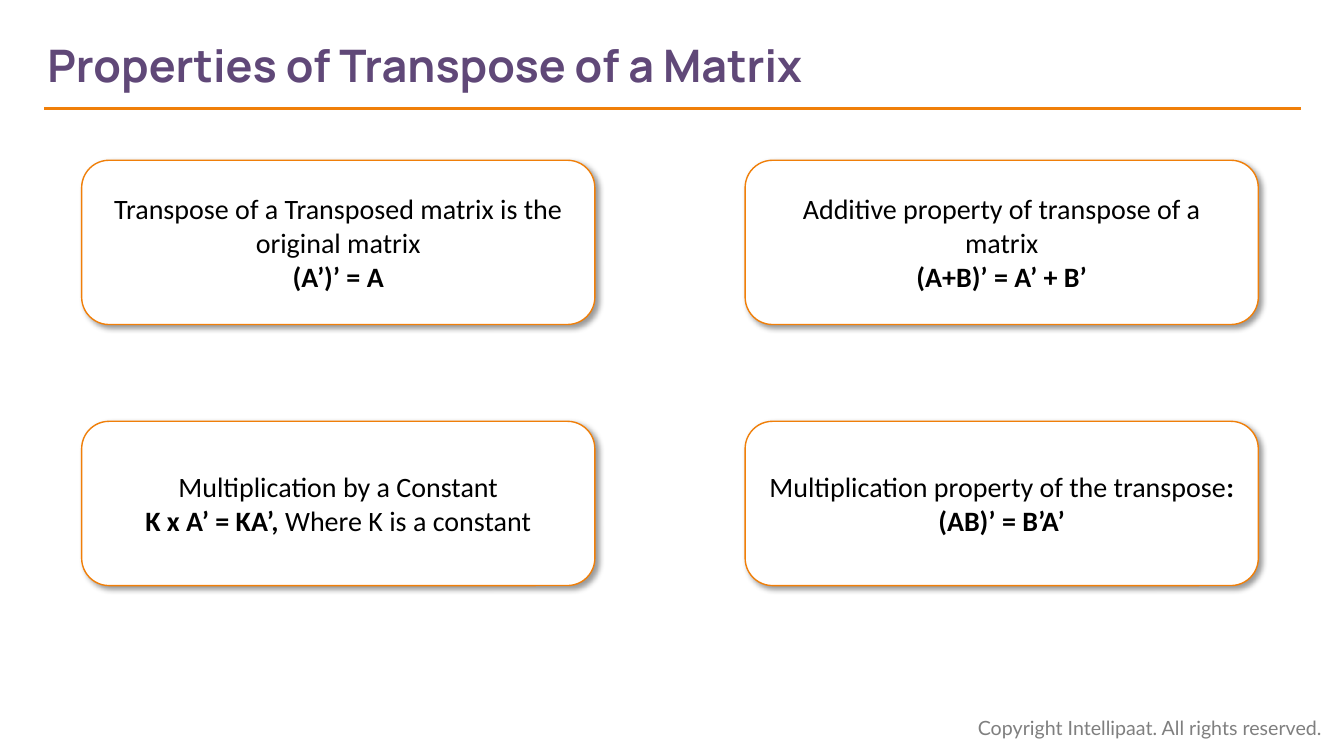
from dataclasses import dataclass

from lxml import etree
from pptx import Presentation
from pptx import util as u
from pptx.dml import color as clr
from pptx.enum import shapes, text
from pptx.oxml import ns

HUES = {
    "title": "604878",
    "rule": "F07F09",
    "card": "FFFFFF",
    "ink": "000000",
    "note": "7F7F7F",
}


@dataclass(frozen=True)
class Span:
    words: str
    bold: bool = False


@dataclass(frozen=True)
class Card:
    col: int
    row: int
    lines: tuple[tuple[Span, ...], ...]


CARDS = (
    Card(0, 0, (
        (Span("Transpose of a Transposed matrix is the original matrix"),),
        (Span("(A’)’ = A", True),),
    )),
    Card(1, 0, (
        (Span("Additive property of transpose of a matrix"),),
        (Span("(A+B)’ = A’ + B’", True),),
    )),
    Card(0, 1, (
        (Span("Multiplication by a Constant"),),
        (Span("K x A’ = KA’, ", True), Span("Where K is a constant")),
    )),
    Card(1, 1, (
        (Span("Multiplication property of the transpose"), Span(":", True)),
        (Span("(AB)’ = B’A’", True),),
    )),
)


def hue(name: str) -> clr.RGBColor:
    return clr.RGBColor.from_string(HUES[name])


def style(para, face: str, size: int, tint: str) -> None:
    para.font.name = face
    para.font.size = u.Pt(size)
    para.font.color.rgb = hue(tint)


def effects(item):
    return etree.SubElement(item._element.spPr, ns.qn("a:effectLst"))


def add_title(slide) -> None:
    title = slide.shapes.title
    title.left, title.top = u.Inches(0.47), u.Inches(0.22)
    title.width, title.height = u.Inches(9.47), u.Inches(0.84)
    frame = title.text_frame
    frame.text = "Properties of Transpose of a Matrix"
    frame.margin_left = 0
    frame.auto_size = text.MSO_AUTO_SIZE.NONE
    frame.vertical_anchor = text.MSO_ANCHOR.MIDDLE
    para = frame.paragraphs[0]
    para.alignment = text.PP_ALIGN.LEFT
    style(para, "Manrope", 32, "title")
    para.font.bold = True


def add_rule(slide) -> None:
    rule = slide.shapes.add_connector(
        shapes.MSO_CONNECTOR.STRAIGHT,
        u.Inches(0.44), u.Inches(1.08), u.Inches(12.9), u.Inches(1.08),
    )
    rule.line.color.rgb = hue("rule")
    rule.line.width = u.Pt(2.25)
    effects(rule)


def add_note(slide) -> None:
    box = slide.shapes.add_textbox(
        u.Inches(9.6), u.Inches(7.05), u.Inches(3.67), u.Inches(0.34)
    )
    frame = box.text_frame
    frame.text = "Copyright Intellipaat. All rights reserved."
    style(frame.paragraphs[0], "Lato", 14, "note")


def add_shade(box) -> None:
    shade = etree.SubElement(
        effects(box), ns.qn("a:outerShdw"),
        blurRad=str(u.Pt(4)), dist=str(u.Pt(3)), dir=str(45 * 60000),
        algn="tl", rotWithShape="0",
    )
    tint = etree.SubElement(shade, ns.qn("a:srgbClr"), val=HUES["ink"])
    etree.SubElement(tint, ns.qn("a:alpha"), val="40000")


def add_card(slide, card: Card) -> None:
    box = slide.shapes.add_shape(
        shapes.MSO_SHAPE.ROUNDED_RECTANGLE,
        u.Inches(0.81 + 6.58 * card.col), u.Inches(1.59 + 2.59 * card.row),
        u.Inches(5.09), u.Inches(1.63),
    )
    box.fill.solid()
    box.fill.fore_color.rgb = hue("card")
    box.line.color.rgb = hue("rule")
    box.line.width = u.Pt(1)
    add_shade(box)
    frame = box.text_frame
    frame.word_wrap = True
    frame.vertical_anchor = text.MSO_ANCHOR.MIDDLE
    for index, line in enumerate(card.lines):
        para = frame.add_paragraph() if index else frame.paragraphs[0]
        para.alignment = text.PP_ALIGN.CENTER
        style(para, "Calibri", 20, "ink")
        for span in line:
            run = para.add_run()
            run.text = span.words
            run.font.bold = span.bold


def main() -> None:
    deck = Presentation()
    deck.slide_width, deck.slide_height = u.Inches(13.33), u.Inches(7.5)
    slide = deck.slides.add_slide(deck.slide_layouts[5])
    add_note(slide)
    add_rule(slide)
    add_title(slide)
    for card in CARDS:
        add_card(slide, card)
    deck.save("out.pptx")


if __name__ == "__main__":
    main()
